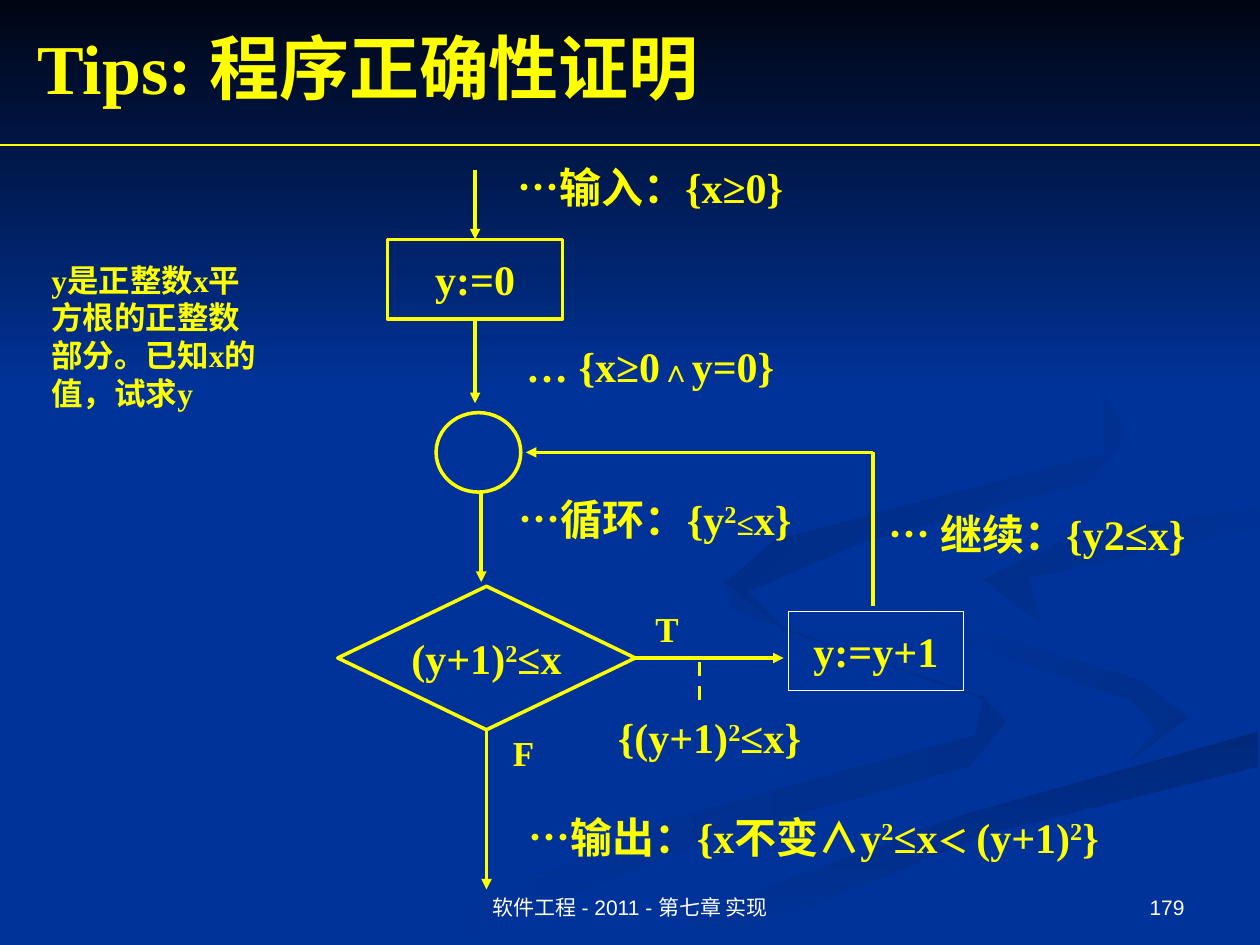
from dataclasses import dataclass
from typing import Optional

from lxml import etree
from pptx import Presentation
from pptx.dml.color import RGBColor
from pptx.enum.dml import MSO_LINE
from pptx.enum.shapes import MSO_CONNECTOR, MSO_SHAPE
from pptx.enum.text import MSO_ANCHOR, PP_ALIGN
from pptx.oxml.ns import qn
from pptx.util import Pt

YELLOW = RGBColor(0xFF, 0xFF, 0x00)
WHITE = RGBColor(0xFF, 0xFF, 0xFF)
BLUE = RGBColor(0x00, 0x33, 0x99)
NIGHT = RGBColor(0x00, 0x05, 0x14)
SHADE = RGBColor(0x00, 0x2E, 0x8A)
DEEP_SHADE = RGBColor(0x00, 0x29, 0x7C)
LEFT, CENTER, RIGHT = PP_ALIGN.LEFT, PP_ALIGN.CENTER, PP_ALIGN.RIGHT
TOP, MIDDLE, BOTTOM = MSO_ANCHOR.TOP, MSO_ANCHOR.MIDDLE, MSO_ANCHOR.BOTTOM
PROCESS, DECISION = MSO_SHAPE.FLOWCHART_PROCESS, MSO_SHAPE.FLOWCHART_DECISION
OVAL, RECTANGLE = MSO_SHAPE.OVAL, MSO_SHAPE.RECTANGLE
STRAIGHT, DASH = MSO_CONNECTOR.STRAIGHT, MSO_LINE.DASH
SITE_TOP, SITE_BOTTOM, SITE_RIGHT = 0, 2, 3
WIDTH, HEIGHT = 720, 540
BOX_W, BOX_H = 100, 45.4
NOTE_W, NOTE_H = 187.2, 36
START_X, TEST_X, LOOP_X = 271.5, 278, 499
START_Y, LOOP_Y, TEST_Y = 136.8, 258.5, 376


@dataclass
class Run:
    text: str
    size: Optional[float] = None
    raised: bool = False


@dataclass
class Label:
    left: float
    top: float
    runs: list
    width: float = NOTE_W
    height: float = NOTE_H
    size: float = 24
    align: int = CENTER
    anchor: int = TOP
    font: str = "Times New Roman"
    color: RGBColor = YELLOW
    bold: bool = True


@dataclass
class Node:
    kind: int
    center: tuple
    runs: list
    width: float = BOX_W
    height: float = BOX_H
    color: RGBColor = YELLOW
    weight: float = 2


@dataclass
class Link:
    start: tuple
    end: tuple
    arrow: bool = True
    weight: float = 2
    dashed: bool = False
    source: Optional[tuple] = None
    target: Optional[tuple] = None


@dataclass
class Ribbon:
    outline: list
    first: RGBColor
    last: RGBColor
    angle: float


def shade(shape, first: RGBColor, last: RGBColor, angle: float) -> None:
    shape.shadow.inherit = False
    shape.line.fill.background()
    shape.fill.gradient()
    shape.fill.gradient_angle = angle
    for position, (stop, color) in enumerate(zip(shape.fill.gradient_stops, (first, last))):
        stop.color.rgb = color
        stop.position = position


def draw_ribbon(s, ribbon: Ribbon) -> None:
    builder = s.shapes.build_freeform(*ribbon.outline[0], scale=Pt(1))
    builder.add_line_segments(ribbon.outline[1:], close=True)
    shade(builder.convert_to_shape(), ribbon.first, ribbon.last, ribbon.angle)


def write(tf, label: Label, wrap: bool) -> None:
    tf.word_wrap = wrap
    tf.vertical_anchor = label.anchor
    p = tf.paragraphs[0]
    p.alignment = label.align
    p.font.name, p.font.size, p.font.bold = label.font, Pt(label.size), label.bold
    p.font.color.rgb = label.color
    for run in label.runs:
        r = p.add_run()
        r.text = run.text
        if run.size:
            r.font.size = Pt(run.size)
        if run.raised:
            r._r.get_or_add_rPr().set("baseline", "30000")


def draw_label(s, label: Label) -> None:
    box = s.shapes.add_textbox(*map(Pt, (label.left, label.top, label.width, label.height)))
    write(box.text_frame, label, True)


def draw_node(s, node: Node):
    x, y = node.center
    left, top = x - node.width / 2, y - node.height / 2
    sp = s.shapes.add_shape(node.kind, *map(Pt, (left, top, node.width, node.height)))
    sp.shadow.inherit = False
    sp.fill.background()
    sp.line.color.rgb = node.color
    sp.line.width = Pt(node.weight)
    if node.runs:
        write(sp.text_frame, Label(left, top, node.runs, anchor=MIDDLE), False)
    return sp


def draw_link(s, link: Link) -> None:
    line = s.shapes.add_connector(STRAIGHT, *map(Pt, link.start + link.end))
    line.line.color.rgb = YELLOW
    line.line.width = Pt(link.weight)
    if link.dashed:
        line.line.dash_style = DASH
    if link.arrow:
        etree.SubElement(line.line._get_or_add_ln(), qn("a:tailEnd"), type="triangle")
    etree.SubElement(line._element.spPr, qn("a:effectLst"))
    if link.source:
        line.begin_connect(*link.source)
    if link.target:
        line.end_connect(*link.target)


RIBBONS = [
    Ribbon([(562, 398), (451, 361), (414, 331), (418, 348), (562, 400), (557, 420),
            (388, 467), (216, 539), (260, 539), (406, 479), (554, 438), (575, 413)],
           SHADE, BLUE, 180),
    Ribbon([(679, 410), (652, 389), (536, 353), (521, 334), (544, 364), (648, 401),
            (661, 418), (644, 436)], SHADE, BLUE, 135),
    Ribbon([(362, 539), (411, 539), (565, 476), (719, 438), (719, 418), (550, 466),
            (410, 518)], DEEP_SHADE, BLUE, 270),
    Ribbon([(562, 331), (595, 357), (588, 330), (719, 302), (719, 289), (612, 307)],
           BLUE, SHADE, 135),
    Ribbon([(492, 310), (624, 275), (644, 248), (622, 210), (549, 168), (630, 215),
            (631, 259), (442, 309), (415, 333), (448, 360), (427, 338)],
           BLUE, DEEP_SHADE, 135),
]
SQUARED = Run("2", raised=True)
LABELS = [
    Label(14.4, 10, [Run("Tips: 程序正确性证明")], 692, 55.5, 40, LEFT, MIDDLE),
    Label(360, 343.5, [Run("T")], 42.5, 31.5, 20),
    Label(TEST_X, 414.7, [Run("F")], 42.5, 31.5, 20),
    Label(TEST_X, 88.5, [Run("…输入：{x≥0}")]),
    Label(TEST_X, 190.8, [Run("… {x≥0"), Run("∧", 18), Run("y=0}")]),
    Label(280.8, 278.6, [Run("…循环：{y"), SQUARED, Run("≤", 18), Run("x}")]),
    Label(LOOP_X, 287.3, [Run("… 继续：{y2≤x}")]),
    Label(311.8, 403.2, [Run("{(y+1)"), SQUARED, Run("≤x}")]),
    Label(275, 460, [Run("…输出：{x不变∧y"), SQUARED, Run("≤x"), Run("＜ ", 18),
                     Run("(y+1)"), SQUARED, Run("}")], 380.2),
    Label(22.3, 145.4, [Run("y是正整数x平方根的正整数部分。已知x的值，试求y")], 136, 93.6, 18, LEFT),
    Label(246.2, 491.8, [Run("软件工程 - 2011 - 第七章 实现")], 228.2, 37.4, 12, CENTER, BOTTOM,
          "Arial", WHITE, False),
    Label(516.2, 491.8, [Run("179")], 167.8, 37.4, 12, RIGHT, BOTTOM, "Arial", WHITE, False),
]

prs = Presentation()
prs.slide_width, prs.slide_height = Pt(WIDTH), Pt(HEIGHT)
s = prs.slides.add_slide(prs.slide_layouts[6])
s.background.fill.solid()
s.background.fill.fore_color.rgb = BLUE
for ribbon in RIBBONS:
    draw_ribbon(s, ribbon)
shade(s.shapes.add_shape(RECTANGLE, 0, 0, Pt(WIDTH), Pt(222)), NIGHT, BLUE, 270)

start = draw_node(s, Node(PROCESS, (START_X, START_Y + BOX_H / 2), [Run("y:=0")]))
test = draw_node(s, Node(DECISION, (TEST_X, TEST_Y), [Run("(y+1)"), SQUARED, Run("≤x")], 170, 82))
draw_node(s, Node(OVAL, (273.4, LOOP_Y), [], 48.4))
draw_node(s, Node(PROCESS, (500.5, 372), [Run("y:=y+1")], color=WHITE, weight=0.75))

LINKS = [
    Link((0, 82.8), (WIDTH, 82.8), arrow=False, weight=0.75),
    Link((START_X, 97.2), (START_X, START_Y), target=(start, SITE_TOP)),
    Link((START_X, START_Y + BOX_H), (START_X, 230.4), source=(start, SITE_BOTTOM)),
    Link((275, 281.4), (275, 332.6)),
    Link((TEST_X, 417), (TEST_X, 508.3), source=(test, SITE_BOTTOM)),
    Link((363, TEST_Y), (447.8, TEST_Y), source=(test, SITE_RIGHT)),
    Link((LOOP_X, LOOP_Y), (300.5, LOOP_Y)),
    Link((LOOP_X, LOOP_Y), (LOOP_X, 346.3), arrow=False),
    Link((399.6, 378), (399.6, 400.3), arrow=False, dashed=True),
]
for link in LINKS:
    draw_link(s, link)
for label in LABELS:
    draw_label(s, label)
prs.save("out.pptx")
